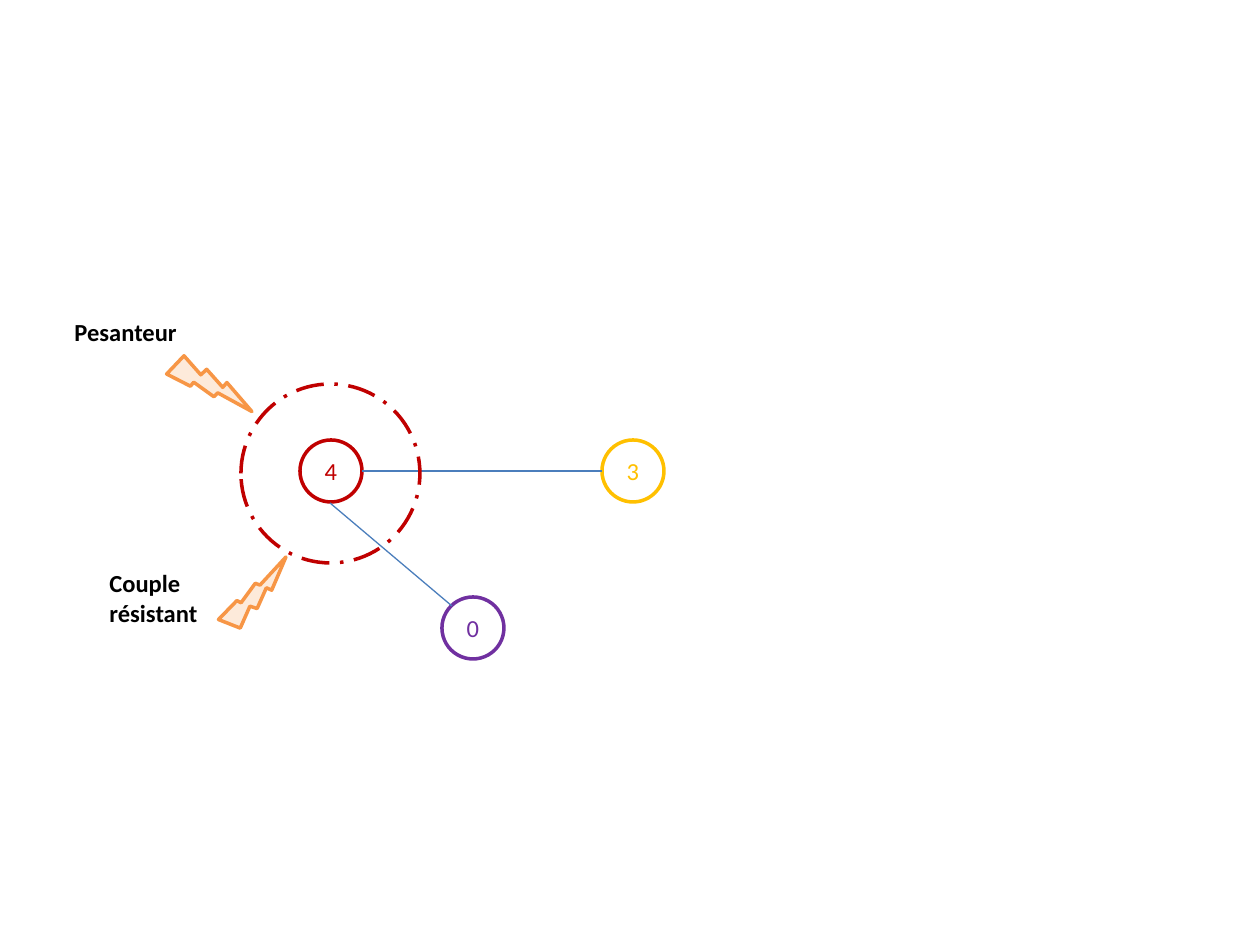
"""Build a link graph of parts 0, 3 and 4 with the outside actions on part 4."""
from typing import NamedTuple

from lxml.etree import SubElement
from pptx import Presentation
from pptx.dml.color import RGBColor
from pptx.enum.dml import MSO_LINE
from pptx.enum.shapes import MSO_CONNECTOR, MSO_SHAPE
from pptx.enum.text import MSO_ANCHOR, MSO_AUTO_SIZE, PP_ALIGN
from pptx.oxml.ns import qn
from pptx.util import Emu, Pt

PX = 914400 / 126
NODE_SIZE = 62
COLORS = {
    "purple": "7030A0", "gold": "FFC000", "red": "C00000", "blue": "4B7EBC",
    "orange": "F79646", "peach": "FDEADA", "black": "000000",
}


class Node(NamedTuple):
    text: str
    x: int
    y: int
    color: str


class Link(NamedTuple):
    x1: int
    y1: int
    x2: int
    y2: int


class Bolt(NamedTuple):
    x: int
    y: int
    w: int
    h: int
    rotation: float
    flipped: bool


class Label(NamedTuple):
    text: str
    x: int
    y: int
    w: int
    h: int


NODES = [Node("0", 442, 597, "purple"), Node("3", 602, 440, "gold"), Node("4", 300, 440, "red")]
LINKS = [Link(330, 503, 452, 606), Link(362, 471, 602, 471)]
BOLTS = [Bolt(234, 552, 44, 88, 244.1, False), Bolt(185, 339, 50, 88, 274.7, True)]
LABELS = [Label("Couple résistant", 97, 562, 160, 72), Label("Pesanteur", 62, 311, 145, 43)]


def px(*values: int) -> list[Emu]:
    return [Emu(round(v * PX)) for v in values]


def rgb(name: str) -> RGBColor:
    return RGBColor.from_string(COLORS[name])


def add_outline(slide, kind, x: int, y: int, w: int, h: int, color: str):
    sp = slide.shapes.add_shape(kind, *px(x, y, w, h))
    sp.shadow.inherit = False
    sp.fill.background()
    sp.line.color.rgb = rgb(color)
    sp.line.width = Pt(2)
    return sp


def add_run(p, text: str, color: str, bold: bool = False) -> None:
    r = p.add_run()
    r.text = text
    r.font.name = "Calibri"
    r.font.size = Pt(14)
    r.font.bold = bold
    r.font.color.rgb = rgb(color)


def add_node(slide, node: Node) -> None:
    sp = add_outline(slide, MSO_SHAPE.OVAL, node.x, node.y, NODE_SIZE, NODE_SIZE, node.color)
    tf = sp.text_frame
    tf.vertical_anchor = MSO_ANCHOR.MIDDLE
    p = tf.paragraphs[0]
    p.alignment = PP_ALIGN.CENTER
    add_run(p, node.text, node.color)


def add_link(slide, link: Link) -> None:
    line = slide.shapes.add_connector(MSO_CONNECTOR.STRAIGHT, *px(*link))
    line.line.color.rgb = rgb("blue")
    line.line.width = Pt(0.75)
    SubElement(line.element.spPr, qn("a:effectLst"))


def add_bolt(slide, bolt: Bolt) -> None:
    sp = add_outline(slide, MSO_SHAPE.LIGHTNING_BOLT, bolt.x, bolt.y, bolt.w, bolt.h, "orange")
    sp.fill.solid()
    sp.fill.fore_color.rgb = rgb("peach")
    sp.rotation = bolt.rotation
    if bolt.flipped:
        sp.element.spPr.get_or_add_xfrm().set("flipH", "1")


def add_label(slide, label: Label) -> None:
    tf = slide.shapes.add_textbox(*px(label.x, label.y, label.w, label.h)).text_frame
    tf.word_wrap = True
    tf.auto_size = MSO_AUTO_SIZE.SHAPE_TO_FIT_TEXT
    add_run(tf.paragraphs[0], label.text, "black", bold=True)


def main() -> None:
    prs = Presentation()
    prs.slide_width, prs.slide_height = px(1260, 945)
    s = prs.slides.add_slide(prs.slide_layouts[6])
    for node in NODES:
        add_node(s, node)
    for link in LINKS:
        add_link(s, link)
    ring = add_outline(s, MSO_SHAPE.OVAL, 241, 384, 179, 179, "red")
    ring.line.dash_style = MSO_LINE.LONG_DASH_DOT
    for bolt in BOLTS:
        add_bolt(s, bolt)
    for label in LABELS:
        add_label(s, label)
    prs.save("out.pptx")


if __name__ == "__main__":
    main()
